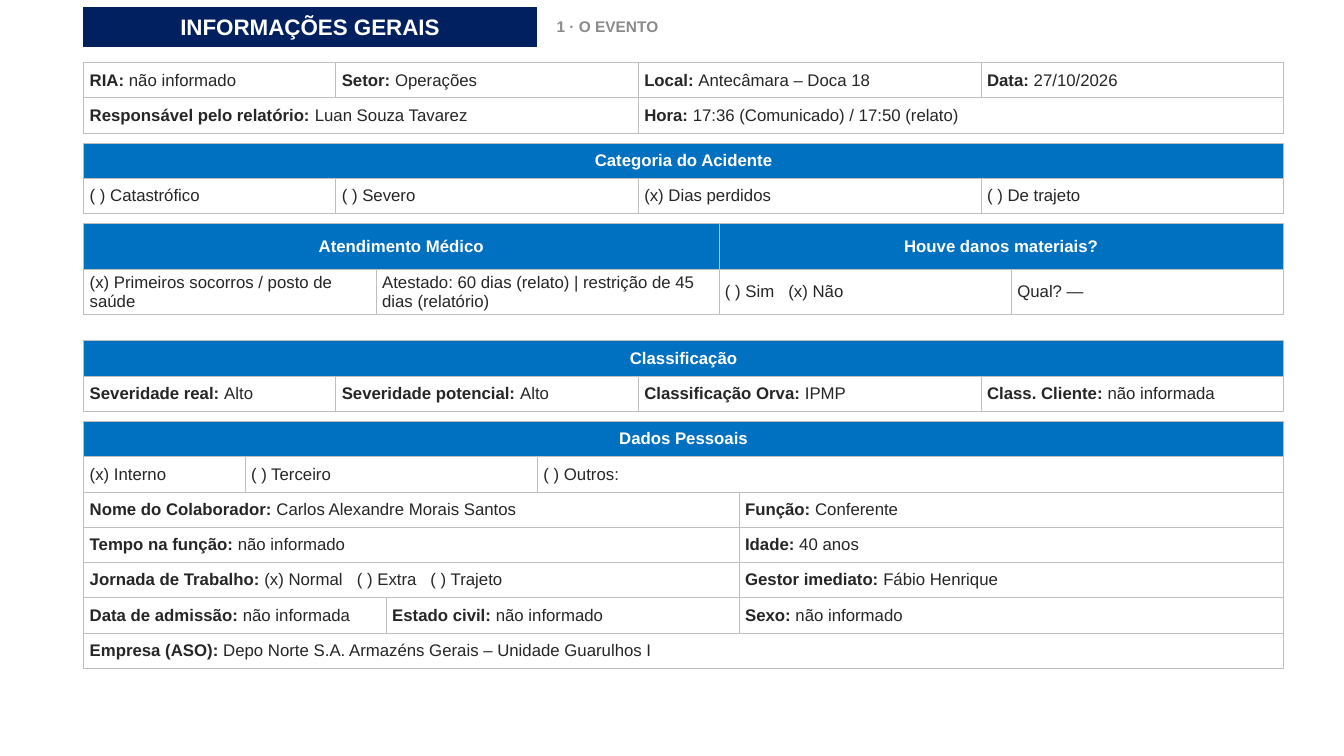
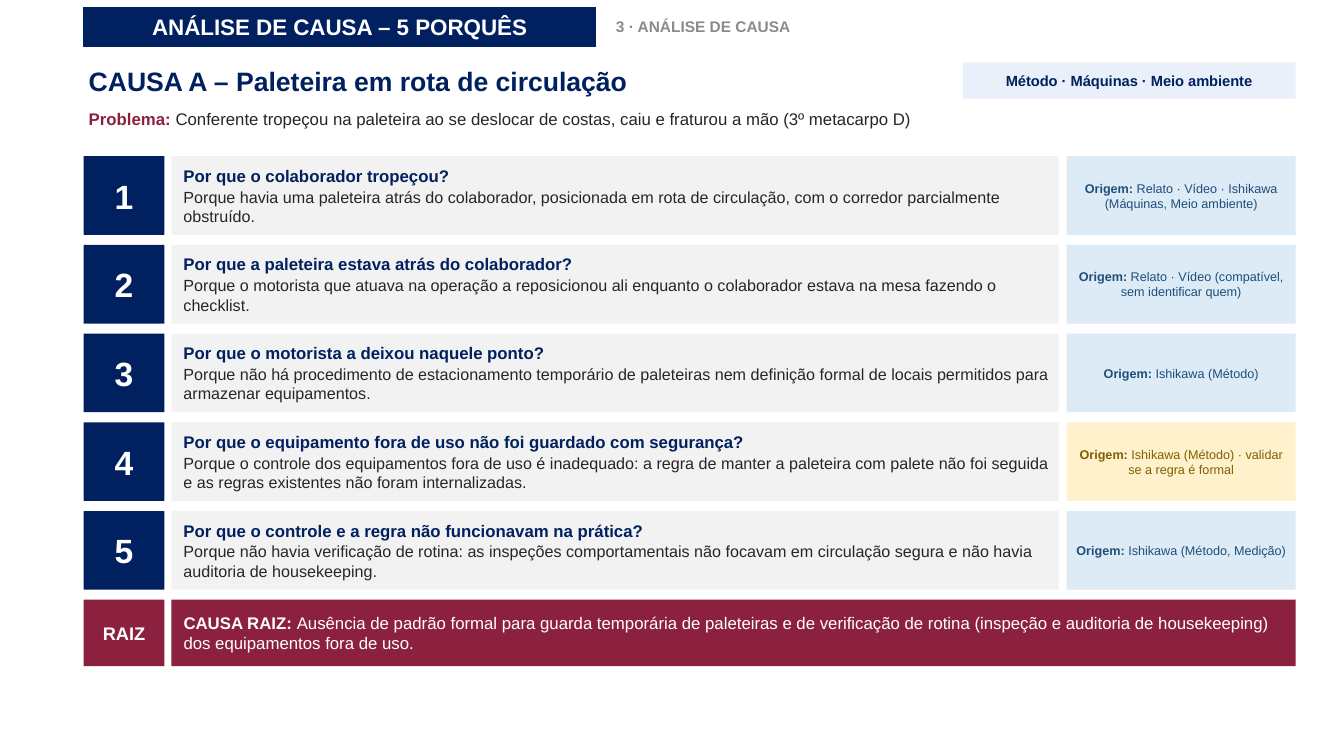
from dataclasses import dataclass

from lxml import etree
from pptx import Presentation
from pptx.dml.color import RGBColor
from pptx.enum.shapes import MSO_SHAPE
from pptx.enum.text import MSO_ANCHOR, MSO_AUTO_SIZE, PP_ALIGN
from pptx.oxml.ns import qn
from pptx.util import Inches, Pt

RECTANGLE = MSO_SHAPE.RECTANGLE
TOP, MIDDLE = MSO_ANCHOR.TOP, MSO_ANCHOR.MIDDLE
LEFT, CENTER = PP_ALIGN.LEFT, PP_ALIGN.CENTER
FIXED_SIZE = MSO_AUTO_SIZE.NONE

NAVY = RGBColor(0x00, 0x20, 0x60)
BLUE = RGBColor(0x00, 0x70, 0xC0)
WINE = RGBColor(0x8C, 0x21, 0x3F)
WHITE = RGBColor(0xFF, 0xFF, 0xFF)
INK = RGBColor(0x26, 0x26, 0x26)
GRAY = RGBColor(0x8A, 0x8A, 0x8A)
BORDER = RGBColor(0xBF, 0xBF, 0xBF)
PANEL = RGBColor(0xF2, 0xF2, 0xF2)
TAG = RGBColor(0xEA, 0xF0, 0xFA)
SKY, STEEL = RGBColor(0xDD, 0xEB, 0xF7), RGBColor(0x1F, 0x4E, 0x78)
CREAM, OCHRE = RGBColor(0xFF, 0xF1, 0xCC), RGBColor(0x7F, 0x60, 0x00)

FONT = "Arial"
MARGIN = 0.83
BOX_INSETS = (0.08, 0.05, 0.08, 0.05)
WIDE_INSETS = (0.12, 0.05, 0.08, 0.05)
TEXT_INSETS = (0.05, 0.03, 0.05, 0.03)
CELL_INSETS = (0.06, 0.03, 0.06, 0.03)


@dataclass
class Cell:
    value: str
    label: str = ""
    span: int = 1
    header: bool = False
    tabs: tuple = ()


@dataclass
class Why:
    question: str
    answer: str
    source: str
    fill: RGBColor = SKY
    color: RGBColor = STEEL


def header(title, span):
    return Cell(title, span=span, header=True)


def set_insets(target, insets):
    """Set the inner margins of a text frame or a table cell."""
    (target.margin_left, target.margin_top,
     target.margin_right, target.margin_bottom) = map(Inches, insets)


def set_tabs(paragraph, positions):
    tab_list = etree.SubElement(paragraph._p.get_or_add_pPr(), qn("a:tabLst"))
    for position in positions:
        etree.SubElement(tab_list, qn("a:tab"), pos=str(Inches(position)), algn="l")


def set_borders(cell):
    properties = cell._tc.get_or_add_tcPr()
    for side in ("a:lnL", "a:lnR", "a:lnT", "a:lnB"):
        line = etree.SubElement(properties, qn(side), w=str(Pt(0.5)))
        fill = etree.SubElement(line, qn("a:solidFill"))
        etree.SubElement(fill, qn("a:srgbClr"), val=str(BORDER))


class Report:
    """Holds the presentation, its style and the slide being filled."""

    def __init__(self):
        self.presentation = Presentation()
        self.presentation.slide_width = Inches(13.33)
        self.presentation.slide_height = Inches(7.5)
        self.slide = None

    def set_text(self, paragraph, value, size, color, label="", label_color=None,
                 bold=False, align=LEFT, after=0):
        """Fill a paragraph with an optional bold label followed by the value."""
        paragraph.alignment = align
        paragraph.space_after = Pt(after)
        font = paragraph.font
        font.name, font.size, font.bold = FONT, Pt(size), bold
        font.color.rgb = color
        if label:
            run = paragraph.add_run()
            run.text = label
            run.font.bold = True
            if label_color:
                run.font.color.rgb = label_color
        paragraph.add_run().text = value

    def frame(self, shape, insets, anchor=MIDDLE):
        frame = shape.text_frame
        frame.word_wrap = True
        frame.auto_size = FIXED_SIZE
        frame.vertical_anchor = anchor
        set_insets(frame, insets)
        return frame

    def new_slide(self, title, title_width, section):
        layout = self.presentation.slide_layouts[5]
        self.slide = self.presentation.slides.add_slide(layout)
        band = self.slide.shapes.title
        band.left, band.top = Inches(MARGIN), Inches(0.07)
        band.width, band.height = Inches(title_width), Inches(0.39)
        band.fill.solid()
        band.fill.fore_color.rgb = NAVY
        band.line.color.rgb = NAVY
        band.line.width = Pt(0.75)
        self.set_text(self.frame(band, BOX_INSETS).paragraphs[0], title, 16, WHITE,
                      bold=True, align=CENTER, after=2)
        self.text(MARGIN + title_width + 0.15, 0.07, 3, 0.39, section, 11, GRAY,
                  bold=True)

    def text(self, left, top, width, height, value, size, color, anchor=MIDDLE, **style):
        box = self.slide.shapes.add_textbox(*map(Inches, (left, top, width, height)))
        frame = self.frame(box, TEXT_INSETS, anchor)
        self.set_text(frame.paragraphs[0], value, size, color, after=4, **style)

    def panel(self, left, top, width, height, fill, insets=BOX_INSETS):
        """Draw a borderless rectangle and return its text frame."""
        shape = self.slide.shapes.add_shape(
            RECTANGLE, *map(Inches, (left, top, width, height)))
        shape.shadow.inherit = False
        shape.fill.solid()
        shape.fill.fore_color.rgb = fill
        shape.line.fill.background()
        return self.frame(shape, insets)

    def box(self, left, top, width, height, fill, value, size, color,
            insets=BOX_INSETS, align=CENTER, **style):
        frame = self.panel(left, top, width, height, fill, insets)
        self.set_text(frame.paragraphs[0], value, size, color, align=align, after=2,
                      **style)

    def table(self, top, widths, rows, row_height=0.35):
        graphic = self.slide.shapes.add_table(
            len(rows), len(widths), Inches(MARGIN), Inches(top),
            Inches(sum(widths)), Inches(row_height * len(rows)))
        table = graphic.table
        table.first_row = table.horz_banding = False
        for column, width in zip(table.columns, widths):
            column.width = Inches(width)
        for row in table.rows:
            row.height = Inches(row_height)
        for cell in table.iter_cells():
            set_borders(cell)
        for row_index, row in enumerate(rows):
            column_index = 0
            for content in row:
                cell = table.cell(row_index, column_index)
                column_index += content.span
                if content.span > 1:
                    cell.merge(table.cell(row_index, column_index - 1))
                self.fill_cell(cell, content)

    def fill_cell(self, cell, content):
        cell.fill.solid()
        cell.fill.fore_color.rgb = BLUE if content.header else WHITE
        cell.vertical_anchor = MIDDLE
        set_insets(cell, CELL_INSETS)
        paragraph = cell.text_frame.paragraphs[0]
        if content.tabs:
            set_tabs(paragraph, content.tabs)
        self.set_text(paragraph, content.value, 12, WHITE if content.header else INK,
                      label=content.label, bold=content.header,
                      align=CENTER if content.header else LEFT)

    def why(self, number, top, height, step):
        self.box(MARGIN, top, 0.8, height, NAVY, str(number), 24, WHITE, bold=True)
        frame = self.panel(1.7, top, 8.8, height, PANEL, WIDE_INSETS)
        self.set_text(frame.paragraphs[0], step.question, 12, NAVY, bold=True, after=1)
        self.set_text(frame.add_paragraph(), step.answer, 11.5, INK, after=1)
        self.box(10.58, top, 2.27, height, step.fill, step.source, 9, step.color,
                 label="Origem: ")


QUARTERS = (2.5, 3, 3.4, 3)

WHYS = [
    Why("Por que o colaborador tropeçou?",
        "Porque havia uma paleteira atrás do colaborador, posicionada em rota de "
        "circulação, com o corredor parcialmente obstruído.",
        "Relato · Vídeo · Ishikawa (Máquinas, Meio ambiente)"),
    Why("Por que a paleteira estava atrás do colaborador?",
        "Porque o motorista que atuava na operação a reposicionou ali enquanto o "
        "colaborador estava na mesa fazendo o checklist.",
        "Relato · Vídeo (compatível, sem identificar quem)"),
    Why("Por que o motorista a deixou naquele ponto?",
        "Porque não há procedimento de estacionamento temporário de paleteiras nem "
        "definição formal de locais permitidos para armazenar equipamentos.",
        "Ishikawa (Método)"),
    Why("Por que o equipamento fora de uso não foi guardado com segurança?",
        "Porque o controle dos equipamentos fora de uso é inadequado: a regra de manter "
        "a paleteira com palete não foi seguida e as regras existentes não foram "
        "internalizadas.",
        "Ishikawa (Método) · validar se a regra é formal", CREAM, OCHRE),
    Why("Por que o controle e a regra não funcionavam na prática?",
        "Porque não havia verificação de rotina: as inspeções comportamentais não "
        "focavam em circulação segura e não havia auditoria de housekeeping.",
        "Ishikawa (Método, Medição)"),
]


def general_information(report):
    report.new_slide("INFORMAÇÕES GERAIS", 4.49, "1 · O EVENTO")
    report.table(0.62, QUARTERS, [
        [Cell("não informado", "RIA: "), Cell("Operações", "Setor: "),
         Cell("Antecâmara – Doca 18", "Local: "), Cell("27/10/2026", "Data: ")],
        [Cell("Luan Souza Tavarez", "Responsável pelo relatório: ", 2),
         Cell("17:36 (Comunicado) / 17:50 (relato)", "Hora: ", 2)],
    ])
    report.table(1.42, QUARTERS, [
        [header("Categoria do Acidente", 4)],
        [Cell("( ) Catastrófico"), Cell("( ) Severo"),
         Cell("(x) Dias perdidos"), Cell("( ) De trajeto")],
    ])
    report.table(2.22, (2.9, 3.4, 2.9, 2.7), [
        [header("Atendimento Médico", 2), header("Houve danos materiais?", 2)],
        [Cell("(x) Primeiros socorros / posto de saúde"),
         Cell("Atestado: 60 dias (relato) | restrição de 45 dias (relatório)"),
         Cell("( ) Sim\t(x) Não", tabs=(0.63,)), Cell("Qual? —")],
    ], row_height=0.45)
    report.table(3.38, QUARTERS, [
        [header("Classificação", 4)],
        [Cell("Alto", "Severidade real: "), Cell("Alto", "Severidade potencial: "),
         Cell("IPMP", "Classificação Orva: "),
         Cell("não informada", "Class. Cliente: ")],
    ])
    report.table(4.18, (1.6, 1.4, 1.5, 2, 2.4, 3), [
        [header("Dados Pessoais", 6)],
        [Cell("(x) Interno"), Cell("( ) Terceiro", span=2), Cell("( ) Outros:", span=3)],
        [Cell("Carlos Alexandre Morais Santos", "Nome do Colaborador: ", 4),
         Cell("Conferente", "Função: ", 2)],
        [Cell("não informado", "Tempo na função: ", 4), Cell("40 anos", "Idade: ", 2)],
        [Cell("(x) Normal\t( ) Extra\t( ) Trajeto", "Jornada de Trabalho: ", 4,
              tabs=(2.65, 3.38)),
         Cell("Fábio Henrique", "Gestor imediato: ", 2)],
        [Cell("não informada", "Data de admissão: ", 2),
         Cell("não informado", "Estado civil: ", 2), Cell("não informado", "Sexo: ", 2)],
        [Cell("Depo Norte S.A. Armazéns Gerais – Unidade Guarulhos I",
              "Empresa (ASO): ", 6)],
    ])


def cause_analysis(report):
    report.new_slide("ANÁLISE DE CAUSA – 5 PORQUÊS", 5.08, "3 · ANÁLISE DE CAUSA")
    report.text(MARGIN, 0.55, 8.6, 0.5, "CAUSA A – Paleteira em rota de circulação",
                19, NAVY, bold=True)
    report.box(9.55, 0.62, 3.3, 0.36, TAG, "Método · Máquinas · Meio ambiente",
               10.5, NAVY, bold=True)
    report.text(MARGIN, 1.05, 12, 0.4,
                "Conferente tropeçou na paleteira ao se deslocar de costas, caiu e "
                "fraturou a mão (3º metacarpo D)",
                12, INK, anchor=TOP, label="Problema: ", label_color=WINE)
    first_top, height, gap = 1.55, 0.78, 0.1
    for index, step in enumerate(WHYS):
        report.why(index + 1, first_top + index * (height + gap), height, step)
    root_top = first_top + len(WHYS) * (height + gap)
    report.box(MARGIN, root_top, 0.8, 0.66, WINE, "RAIZ", 13, WHITE, bold=True)
    report.box(1.7, root_top, 11.15, 0.66, WINE,
               "Ausência de padrão formal para guarda temporária de paleteiras e de "
               "verificação de rotina (inspeção e auditoria de housekeeping) dos "
               "equipamentos fora de uso.",
               12, WHITE, insets=WIDE_INSETS, align=LEFT, label="CAUSA RAIZ: ")


def main():
    report = Report()
    general_information(report)
    cause_analysis(report)
    report.presentation.save("out.pptx")


if __name__ == "__main__":
    main()
